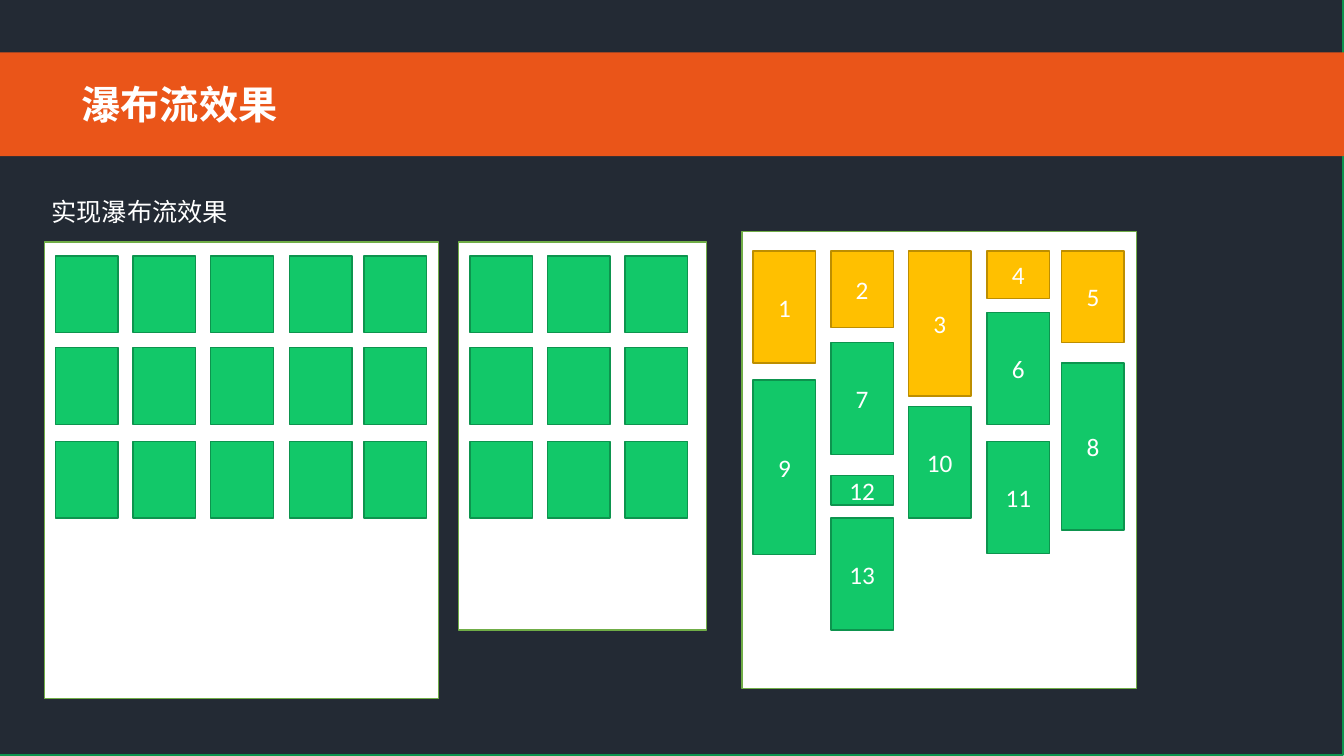
from lxml import etree
from pptx import Presentation
from pptx import util as u
from pptx.dml.color import RGBColor
from pptx.enum import shapes, text
from pptx.oxml import ns

WIDTH, HEIGHT = 13.33, 7.5
COLORS = {
    "night": "232A34", "orange": "EA5519", "white": "FFFFFF", "leaf": "70AD47",
    "green": "12C869", "forest": "0D944E", "amber": "FFC000", "bronze": "BD8E00",
}
HEADING_FONT, NUMBER_FONT = "Noto Sans CJK SC", "Calibri"
COLUMNS = (0.11, 0.88, 1.65, 2.43, 3.17)
ROWS = (0.14, 1.05, 1.98)
TILE_WIDTH, TILE_HEIGHT = 0.62, 0.76
PANELS = ((0.44, 2.4, 3.91, 4.53, 5), (4.55, 2.4, 2.46, 3.85, 3))
WATERFALL = (7.36, 2.3, 3.91, 4.53)
STACKS = (
    ((1, 0.19, 1.11), (9, 1.47, 1.73)),
    ((2, 0.19, 0.76), (7, 1.1, 1.11), (12, 2.42, 0.29), (13, 2.84, 1.11)),
    ((3, 0.19, 1.44), (10, 1.73, 1.11)),
    ((4, 0.19, 0.47), (6, 0.8, 1.11), (11, 2.08, 1.11)),
    ((5, 0.19, 0.91), (8, 1.3, 1.66)),
)


def color(name):
    return RGBColor.from_string(COLORS[name])


def apply(target, values):
    for name, value in values.items():
        setattr(target, name, value)


def add_box(page, place, fill, line=None):
    box = page.shapes.add_shape(
        shapes.MSO_SHAPE.RECTANGLE, *(u.Inches(length) for length in place))
    box.shadow.inherit = False
    box.fill.solid()
    box.fill.fore_color.rgb = color(fill)
    if line:
        box.line.color.rgb = color(line)
        box.line.width = u.Pt(1)
    else:
        box.line.fill.background()
    return box


def add_tile(page, place, number=None, first=False):
    fill, line = ("amber", "bronze") if first else ("green", "forest")
    box = add_box(page, place, fill, line)
    if number:
        apply(box.text_frame, {"vertical_anchor": text.MSO_ANCHOR.MIDDLE,
                               "margin_left": 0, "margin_right": 0})
        para = box.text_frame.paragraphs[0]
        para.alignment = text.PP_ALIGN.CENTER
        write(para, str(number), NUMBER_FONT, 18)


def write(para, words, font, size, bold=False):
    span = para.add_run()
    span.text = words
    apply(span.font, {"name": font, "size": u.Pt(size), "bold": bold})
    span.font.color.rgb = color("white")
    east = etree.SubElement(span.font._element, ns.qn("a:ea"))
    east.set("typeface", font)
    span.font._element.find(ns.qn("a:latin")).addnext(east)


def fill_placeholder(holder, place, words, size, spacing, bold=False):
    apply(holder, dict(zip(("left", "top", "width", "height"),
                           (u.Inches(length) for length in place))))
    apply(holder.text_frame, {"word_wrap": True,
                              "auto_size": text.MSO_AUTO_SIZE.SHAPE_TO_FIT_TEXT,
                              "vertical_anchor": text.MSO_ANCHOR.TOP})
    para = holder.text_frame.paragraphs[0]
    apply(para, {"alignment": text.PP_ALIGN.LEFT, "line_spacing": spacing,
                 "space_before": u.Pt(0)})
    settings = para._p.get_or_add_pPr()
    settings.set("marL", "0")
    settings.set("indent", "0")
    etree.SubElement(settings, ns.qn("a:buNone"))
    write(para, words, HEADING_FONT, size, bold)
    holder.element.getparent().append(holder.element)


def add_grid_panel(page, left, top, width, height, count):
    add_box(page, (left, top, width, height), "white", "leaf")
    for row in ROWS:
        for column in COLUMNS[:count]:
            add_tile(page, (left + column, top + row, TILE_WIDTH, TILE_HEIGHT))


def add_waterfall_panel(page):
    left, top = WATERFALL[:2]
    add_box(page, WATERFALL, "white", "leaf")
    for column, stack in zip(COLUMNS, STACKS):
        for number, offset, height in stack:
            add_tile(page, (left + column, top + offset, TILE_WIDTH, height),
                     number, number <= len(COLUMNS))


def main():
    deck = Presentation()
    apply(deck, {"slide_width": u.Inches(WIDTH), "slide_height": u.Inches(HEIGHT)})
    page = deck.slides.add_slide(deck.slide_layouts[1])
    add_box(page, (-0.01, -0.01, WIDTH, HEIGHT), "night", "forest")
    add_box(page, (0, 0.52, WIDTH, 1.03), "orange")
    fill_placeholder(page.shapes.title, (0.71, 0.75, 10.57, 0.57),
                     "瀑布流效果", 28, 1.0, True)
    fill_placeholder(page.placeholders[1], (0.41, 1.75, 12.35, 0.55),
                     "实现瀑布流效果", 18, 1.5)
    for panel in PANELS:
        add_grid_panel(page, *panel)
    add_waterfall_panel(page)
    deck.save("out.pptx")


if __name__ == "__main__":
    main()
